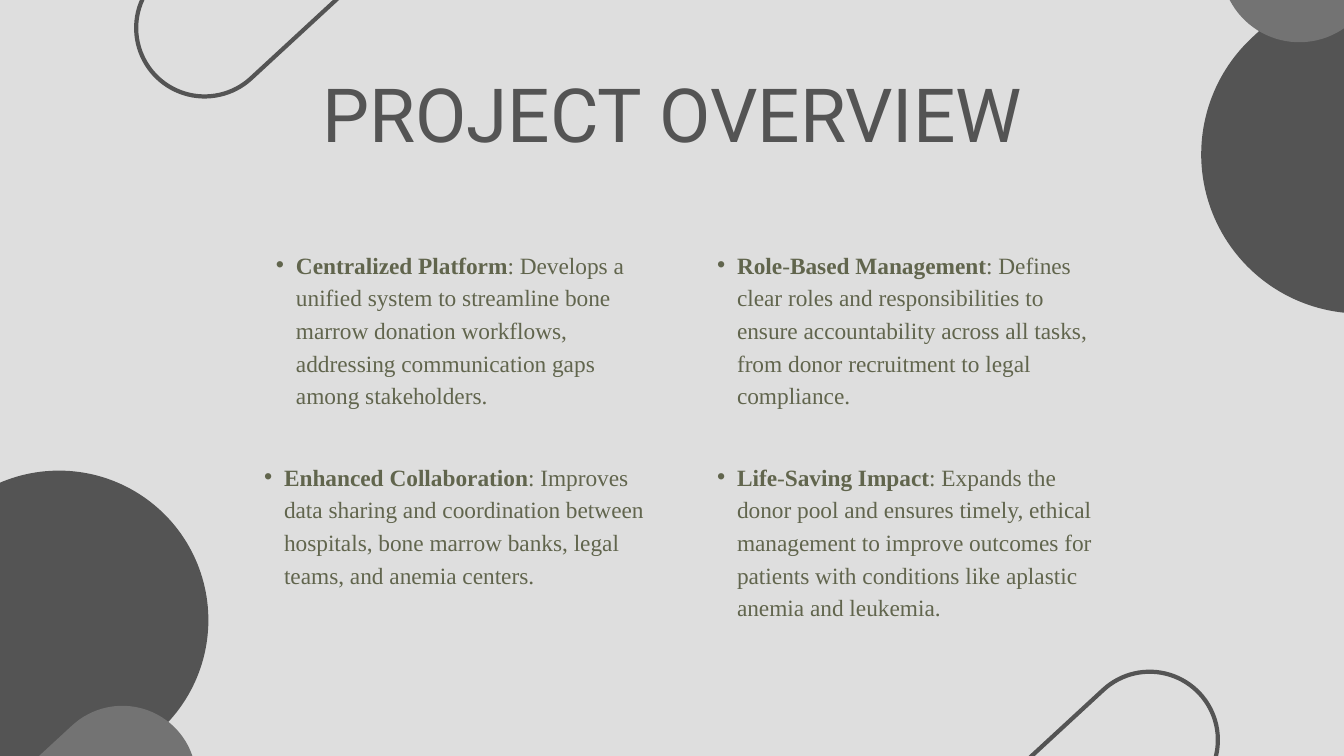
"""Build the project overview slide: title, four bulleted points, rotated pills."""
from lxml import etree
from pptx import Presentation
from pptx import util as u
from pptx.dml.color import RGBColor
from pptx.enum import shapes, text
from pptx.oxml.ns import qn

DARK = RGBColor(0x54, 0x54, 0x54)
MID = RGBColor(0x73, 0x73, 0x73)
PALE = RGBColor(0xDE, 0xDE, 0xDE)
OLIVE = RGBColor(0x61, 0x65, 0x4D)

TITLE = "PROJECT OVERVIEW"
TITLE_BOX = (285, 94, 775, 71)
POINT_WIDTH = 403
POINTS = [
    (256, 246, 163, [
        ("Centralized Platform", True),
        (": Develops a unified system to streamline bone marrow donation workflows, "
         "addressing communication gaps among stakeholders.", False)]),
    (697, 246, 163, [
        ("Role", True), ("-", False), ("Based Management", True),
        (": Defines clear roles and responsibilities to ensure accountability across "
         "all tasks, from donor recruitment to legal compliance.", False)]),
    (244, 458, 163, [
        ("Enhanced Collaboration", True),
        (": Improves data sharing and coordination between hospitals, bone marrow "
         "banks, legal teams, and anemia centers.", False)]),
    (697, 458, 196, [
        ("Life", True), ("-", False), ("Saving Impact", True),
        (": Expands the donor pool and ensures timely, ethical management to improve "
         "outcomes for patients with conditions like aplastic anemia and leukemia.", False)]),
]
PILLS = [
    (-350, 572, 598, DARK),
    (-80, 756, 296, MID),
    (1159, -113, 637, DARK),
    (1200, -168, 314, MID),
    (963, 718, 273, None),
    (118, -87, 274, None),
]
PILL_TURN = 317.3


def px(length):
    return u.Emu(round(length * 914400 / 67.2))


def add_pill(slide, left, top, width, fill):
    pill = slide.shapes.add_shape(shapes.MSO_SHAPE.ROUNDED_RECTANGLE,
                                  px(left), px(top), px(width), px(width / 2))
    pill.adjustments[0] = 0.5
    pill.rotation = PILL_TURN
    pill.shadow.inherit = False
    if fill is None:
        pill.fill.background()
        pill.line.color.rgb = DARK
        pill.line.width = u.Pt(4.5)
    else:
        pill.fill.solid()
        pill.fill.fore_color.rgb = fill
        pill.line.fill.background()


def write(slide, holder, box, runs, font, size, spacing, color, align):
    holder.left, holder.top, holder.width, holder.height = map(px, box)
    slide.shapes.element.append(holder.element)
    frame = holder.text_frame
    frame.margin_left = frame.margin_top = frame.margin_right = frame.margin_bottom = 0
    frame.word_wrap = True
    frame.auto_size = text.MSO_AUTO_SIZE.NONE
    frame.vertical_anchor = text.MSO_ANCHOR.TOP
    line = frame.paragraphs[0]
    line.alignment = align
    line.line_spacing = u.Pt(spacing)
    line.space_before = line.space_after = u.Pt(0)
    for words, bold in runs:
        run = line.add_run()
        run.text = words
        run.font.name = font
        run.font.size = u.Pt(size)
        run.font.bold = bold
        run.font.color.rgb = color
    return line


def add_bullet(line):
    line.level = 1
    props = line._p.get_or_add_pPr()
    props.set("marL", str(px(40)))
    props.set("indent", str(-px(20)))
    etree.SubElement(props, qn("a:buFont")).set("typeface", "Arial")
    etree.SubElement(props, qn("a:buChar")).set("char", "•")


def main():
    deck = Presentation()
    deck.slide_width, deck.slide_height = px(1344), px(756)
    slide = deck.slides.add_slide(deck.slide_layouts.get_by_name("Comparison"))
    slide.background.fill.solid()
    slide.background.fill.fore_color.rgb = PALE
    heading, *bodies = list(slide.placeholders)

    for pill in PILLS:
        add_pill(slide, *pill)
    write(slide, heading, TITLE_BOX, [(TITLE, False)], "Roboto", 80, 68, DARK,
          text.PP_ALIGN.CENTER)
    for body, (left, top, height, runs) in zip(bodies, POINTS):
        point = write(slide, body, (left, top, POINT_WIDTH, height), runs,
                      "Times New Roman", 25, 35, OLIVE, text.PP_ALIGN.LEFT)
        add_bullet(point)
    deck.save("out.pptx")


if __name__ == "__main__":
    main()
